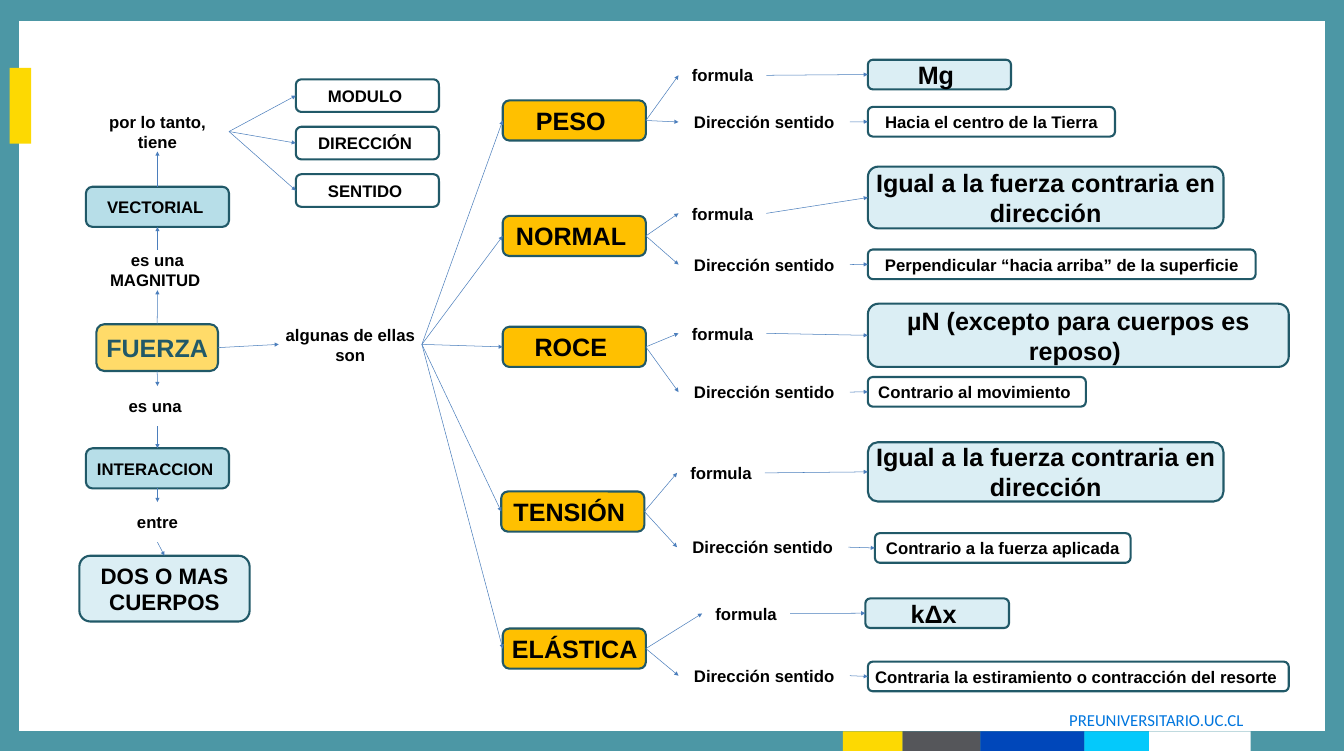
from dataclasses import dataclass

from lxml import etree
from pptx import Presentation
from pptx.dml.color import RGBColor
from pptx.enum.shapes import MSO_CONNECTOR, MSO_SHAPE
from pptx.enum.text import MSO_ANCHOR, PP_ALIGN
from pptx.oxml.ns import qn
from pptx.util import Inches, Pt

RECTANGLE, ROUNDED = MSO_SHAPE.RECTANGLE, MSO_SHAPE.ROUNDED_RECTANGLE
STRAIGHT = MSO_CONNECTOR.STRAIGHT
CENTER, RIGHT_ALIGN = PP_ALIGN.CENTER, PP_ALIGN.RIGHT
MIDDLE = MSO_ANCHOR.MIDDLE
TOP, LEFT, BOTTOM, RIGHT = range(4)

BLACK = RGBColor(0x00, 0x00, 0x00)
WHITE = RGBColor(0xFF, 0xFF, 0xFF)
TEAL = RGBColor(0x4C, 0x97, 0xA5)
DARK_TEAL = RGBColor(0x21, 0x59, 0x68)
LIGHT_BLUE = RGBColor(0xB7, 0xDE, 0xE8)
PALE_BLUE = RGBColor(0xDB, 0xEE, 0xF4)
GOLD = RGBColor(0xFF, 0xDB, 0x69)
AMBER = RGBColor(0xFF, 0xC0, 0x00)
YELLOW = RGBColor(0xFD, 0xD9, 0x02)
GRAY = RGBColor(0x55, 0x56, 0x5A)
BLUE = RGBColor(0x00, 0x47, 0xBA)
CYAN = RGBColor(0x04, 0xC9, 0xFB)
FOOTER_BLUE = RGBColor(0x01, 0x76, 0xDE)
ARROW_BLUE = RGBColor(0x4B, 0x7E, 0xBC)

NODE_WIDTH, NODE_HEIGHT = 2.85, 0.8
STRIP = [(YELLOW, 1.19), (GRAY, 1.55), (BLUE, 2.07), (CYAN, 1.29), (WHITE, 2.02)]


@dataclass
class Box:
    """A rectangle in inches."""
    left: float
    top: float
    width: float = NODE_WIDTH
    height: float = NODE_HEIGHT

    def inner(self, left, top, width=NODE_WIDTH, height=NODE_HEIGHT):
        """Return a box placed from this box's top left corner."""
        return Box(self.left + left, self.top + top, width, height)

    def lengths(self):
        """Return left, top, width and height as lengths."""
        return [Inches(value) for value in (self.left, self.top, self.width, self.height)]


@dataclass
class Aspect:
    """A label and its answer, placed from the box of a force."""
    label_top: float
    answer: str
    answer_top: float
    width: float
    height: float = 0.59
    label_left: float = 3.5
    answer_left: float = 7.27


FORCES = [
    ("PESO ", Box(10.01, 2),
     Aspect(-0.9, "Mg ", -0.81, 2.85),
     Aspect(0.03, "Hacia el centro de la Tierra", 0.13, 4.92)),
    ("NORMAL ", Box(10.01, 4.3),
     Aspect(-0.45, "Igual a la fuerza contraria en dirección", -0.98, 7.08, 1.23),
     Aspect(0.57, "Perpendicular “hacia arriba” de la superficie", 0.67, 7.72)),
    ("ROCE ", Box(10.01, 6.51),
     Aspect(-0.27, "µN (excepto para cuerpos es reposo) ", -0.46, 8.38, 1.26),
     Aspect(0.9, "Contrario al movimiento ", 1, 4.34)),
    ("TENSIÓN ", Box(9.98, 9.79),
     Aspect(-0.77, "Igual a la fuerza contraria en dirección", -0.98, 7.08, 1.18,
            answer_left=7.3),
     Aspect(0.71, "Contrario a la fuerza aplicada", 0.83, 5.09, answer_left=7.44)),
    ("ELÁSTICA ", Box(10.01, 12.52),
     Aspect(-0.7, "kΔx ", -0.6, 2.86, label_left=3.97, answer_left=7.22),
     Aspect(0.54, "Contraria la estiramiento o contracción del resorte ", 0.66, 8.38)),
]


def write(shape, text, size=24, color=BLACK, bold=True, font="Arial", align=CENTER):
    """Put one formatted paragraph in a shape."""
    shape.text_frame.word_wrap = True
    paragraph = shape.text_frame.paragraphs[0]
    paragraph.text = text
    paragraph.alignment = align
    paragraph.font.size = Pt(size)
    paragraph.font.name = font
    paragraph.font.bold = bold
    paragraph.font.color.rgb = color


def add_block(slide, kind, box, fill=None, line=None, line_width=3):
    """Add a preset shape with an optional fill and outline."""
    shape = slide.shapes.add_shape(kind, *box.lengths())
    shape.shadow.inherit = False
    if fill is None:
        shape.fill.background()
    else:
        shape.fill.solid()
        shape.fill.fore_color.rgb = fill
    if line is None:
        shape.line.fill.background()
    else:
        shape.line.color.rgb = line
        shape.line.width = Pt(line_width)
    return shape


def add_node(slide, text, box, fill=None, line=DARK_TEAL, **text_format):
    """Add a rounded concept node."""
    shape = add_block(slide, ROUNDED, box, fill, line)
    shape.text_frame.vertical_anchor = MIDDLE
    write(shape, text, **text_format)
    return shape


def add_label(slide, text, box):
    """Add a linking phrase without fill or outline."""
    return add_node(slide, text, box, line=None)


def add_arrow(slide, start, end, start_site=RIGHT, end_site=LEFT):
    """Join two nodes with a thin arrow."""
    connector = slide.shapes.add_connector(STRAIGHT, 0, 0, 0, 0)
    connector.begin_connect(start, start_site)
    connector.end_connect(end, end_site)
    connector.line.color.rgb = ARROW_BLUE
    connector.line.width = Pt(0.75)
    properties = connector._element.spPr
    etree.SubElement(properties.find(qn("a:ln")), qn("a:tailEnd"), type="triangle")
    etree.SubElement(properties, qn("a:effectLst"))


def add_frame(slide, box):
    """Draw the border, side tab, colour strip and footer."""
    add_block(slide, RECTANGLE, box.inner(0.12, 0.16, box.width - 0.24, box.height - 0.3),
              line=TEAL, line_width=37)
    add_block(slide, RECTANGLE, box.inner(0.19, 1.35, 0.43, 1.51), YELLOW)
    left = 16.78
    for color, width in STRIP:
        add_block(slide, RECTANGLE, box.inner(left, box.height - 0.39, width, 0.39), color)
        left += width
    footer = slide.shapes.add_textbox(*box.inner(16.88, 14.09, 7.93, 0.5).lengths())
    footer.text_frame.margin_left = footer.text_frame.margin_right = Inches(0.05)
    write(footer, "PREUNIVERSITARIO.UC.CL", color=FOOTER_BLUE, bold=False,
          font="Calibri", align=RIGHT_ALIGN)


def add_definition(slide, box):
    """Draw the column that defines force and return its root node."""
    root = add_node(slide, "FUERZA", box.inner(0.34, 4.24, 2.42, 0.93), GOLD,
                    size=36, color=DARK_TEAL)
    magnitude = add_label(slide, "es una MAGNITUD ", box.inner(0.13, 2.76))
    vector = add_node(slide, "VECTORIAL ", box.inner(0.13, 1.5), LIGHT_BLUE)
    therefore = add_label(slide, "por lo tanto, tiene", box.inner(0.13, 0))
    is_a = add_label(slide, "es una ", box.inner(0.13, 5.47))
    interaction = add_node(slide, "INTERACCION ", box.inner(0.13, 6.71), LIGHT_BLUE)
    between = add_label(slide, "entre", box.inner(0.13, 7.78))
    bodies = add_node(slide, "DOS O MAS CUERPOS", box.inner(0, 8.85, 3.39, 1.31),
                      PALE_BLUE, size=32)
    upward = [root, magnitude, vector, therefore]
    downward = [root, is_a, interaction, between, bodies]
    for start, end in zip(upward, upward[1:]):
        add_arrow(slide, start, end, TOP, BOTTOM)
    for start, end in zip(downward, downward[1:]):
        add_arrow(slide, start, end, BOTTOM, TOP)
    for index, name in enumerate(["MODULO ", "DIRECCIÓN ", "SENTIDO "]):
        component = add_node(slide, name, box.inner(4.31, -0.64 + 0.945 * index, height=0.65))
        add_arrow(slide, therefore, component)
    return root


def add_force(slide, box, source, name, formula, sense):
    """Draw one force with its formula and its direction."""
    force = add_node(slide, name, box, AMBER, size=36)
    add_arrow(slide, source, force)
    for aspect, text, label_width, fill, size in (
            (formula, "formula", 1.75, PALE_BLUE, 36),
            (sense, "Dirección sentido", 3.41, None, 24)):
        label = add_label(slide, text,
                          box.inner(aspect.label_left, aspect.label_top, label_width))
        answer_box = box.inner(aspect.answer_left, aspect.answer_top,
                               aspect.width, aspect.height)
        answer = add_node(slide, aspect.answer, answer_box, fill, size=size)
        add_arrow(slide, force, label)
        add_arrow(slide, label, answer)


def main():
    """Build the concept map of forces."""
    presentation = Presentation()
    page = Box(0, 0, 26.76, 14.96)
    presentation.slide_width = Inches(page.width)
    presentation.slide_height = Inches(page.height)
    slide = presentation.slides.add_slide(presentation.slide_layouts[6])
    add_frame(slide, page)
    root = add_definition(slide, Box(1.58, 2.22, 3.39, 10.16))
    some = add_label(slide, "algunas de ellas son", Box(5.55, 6.46))
    add_arrow(slide, root, some)
    for name, box, formula, sense in FORCES:
        add_force(slide, box, some, name, formula, sense)
    presentation.save("out.pptx")


if __name__ == "__main__":
    main()
